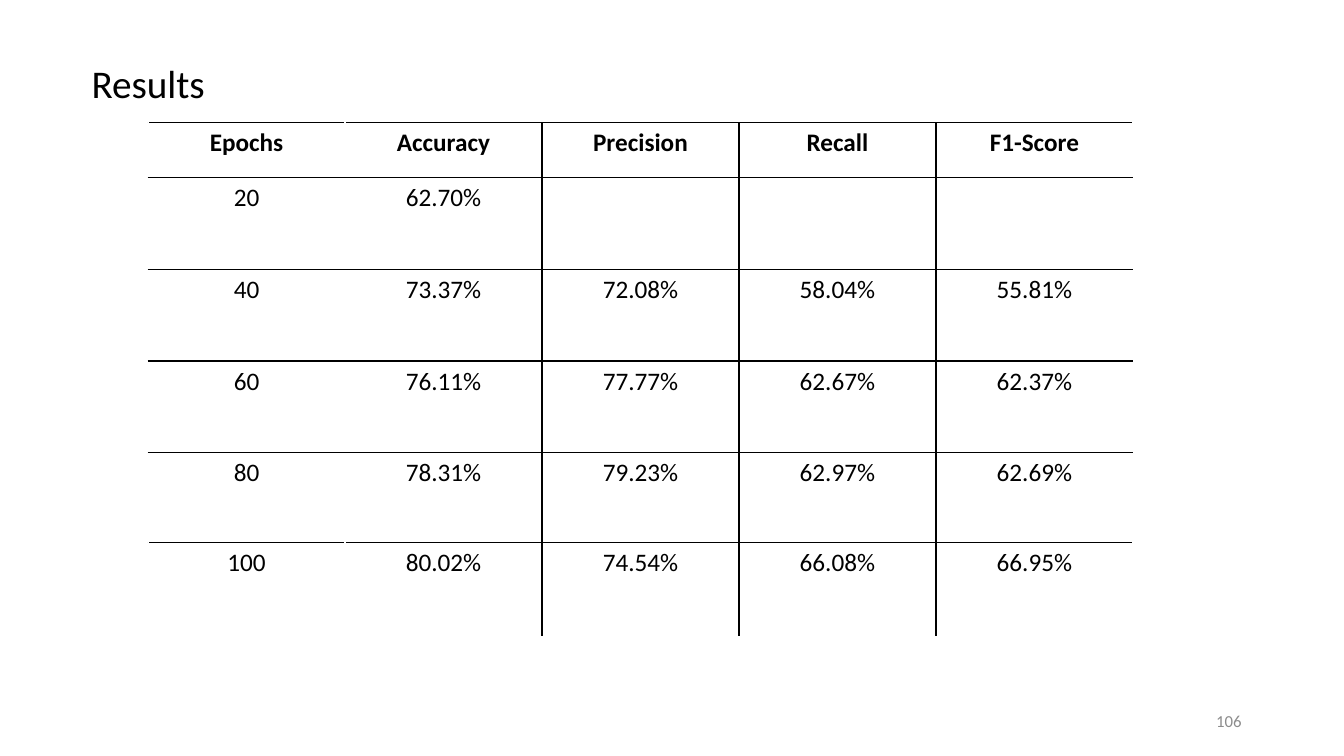
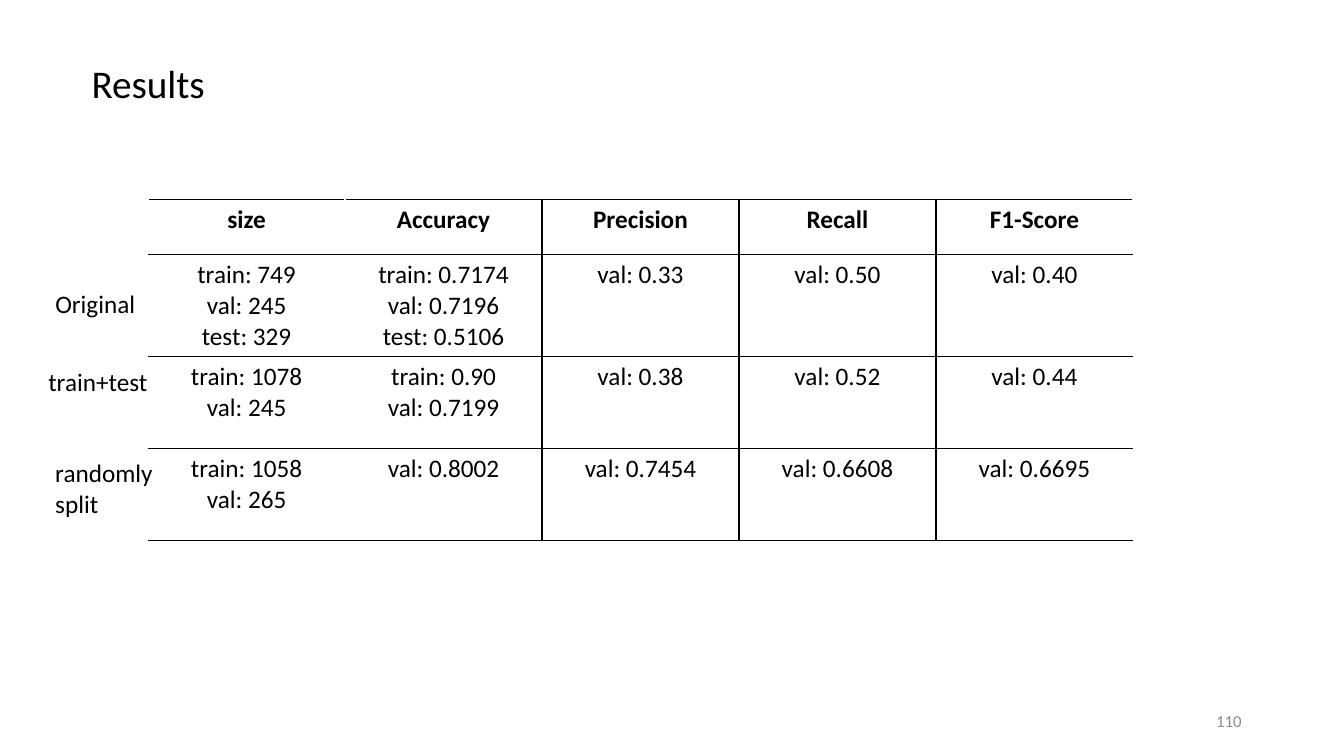
from lxml.etree import SubElement
from pptx import Presentation
from pptx.dml.color import RGBColor
from pptx.enum.text import MSO_ANCHOR, MSO_AUTO_SIZE, PP_ALIGN
from pptx.oxml.ns import qn
from pptx.util import Pt

COLORS = {"text": "000000", "rule": "000000", "blank": "FFFFFF", "footer": "8C8C8C"}
METRICS = ["Accuracy", "Precision", "Recall", "F1-Score"]
TABLE_LEFT = 105.8
COL_WIDTH = 140.7
HEAD_HEIGHT = 39.2
ROW_HEIGHT = 65.5


class Deck:
    """Holds the shared style and the current slide."""

    font = "Calibri"

    def __init__(self):
        self.prs = Presentation()
        self.prs.slide_width = Pt(960)
        self.prs.slide_height = Pt(540)
        self.slide = None

    def style(self, p, size=18, color="text", align=PP_ALIGN.LEFT, bold=False):
        p.alignment = align
        p.font.name = self.font
        p.font.size = Pt(size)
        p.font.bold = bold
        p.font.color.rgb = RGBColor.from_string(COLORS[color])

    def fill_text(self, tf, text, **style):
        for i, line in enumerate(text.split("\n")):
            p = tf.add_paragraph() if i else tf.paragraphs[0]
            p.text = line
            self.style(p, **style)

    def text(self, left, top, width, height, text, anchor=MSO_ANCHOR.TOP, **style):
        tf = self.slide.shapes.add_textbox(
            Pt(left), Pt(top), Pt(width), Pt(height)).text_frame
        tf.word_wrap = True
        tf.auto_size = MSO_AUTO_SIZE.NONE
        tf.vertical_anchor = anchor
        self.fill_text(tf, text, **style)

    def results_slide(self, number):
        self.slide = self.prs.slides.add_slide(self.prs.slide_layouts[6])
        self.text(678, 500.5, 216, 28.8, number, MSO_ANCHOR.MIDDLE,
                  size=12, color="footer", align=PP_ALIGN.RIGHT)
        self.text(58.3, 38.9, 429, 41, "Results", size=28)

    def border(self, cell, side, color, width):
        ln = SubElement(cell._tc.get_or_add_tcPr(), qn(f"a:ln{side}"), w=str(Pt(width)))
        fill = SubElement(ln, qn("a:solidFill"))
        SubElement(fill, qn("a:srgbClr"), val=COLORS[color])

    def table(self, top, rows, header=True, bottom=("rule", 1)):
        n_rows, n_cols = len(rows), len(rows[0])
        heights = [HEAD_HEIGHT if header and i == 0 else ROW_HEIGHT for i in range(n_rows)]
        table = self.slide.shapes.add_table(
            n_rows, n_cols, Pt(TABLE_LEFT), Pt(top),
            Pt(COL_WIDTH * n_cols), Pt(sum(heights))).table
        table.first_row = table.horz_banding = False
        for col in table.columns:
            col.width = Pt(COL_WIDTH)
        # Vertical rules only stand between the metric columns
        edges = ["rule" if 1 < i < n_cols else "blank" for i in range(n_cols + 1)]
        for r, values in enumerate(rows):
            table.rows[r].height = Pt(heights[r])
            for c, value in enumerate(values):
                cell = table.cell(r, c)
                self.fill_text(cell.text_frame, value, align=PP_ALIGN.CENTER,
                               bold=header and r == 0)
                self.border(cell, "L", edges[c], 1)
                self.border(cell, "R", edges[c + 1], 1)
                self.border(cell, "T", "rule", 1)
                self.border(cell, "B", *(bottom if r == n_rows - 1 else ("rule", 1)))
                cell.fill.background()


def main():
    deck = Deck()

    # Scores by number of epochs
    deck.results_slide("106")
    deck.table(87.8, [
        ["Epochs", *METRICS],
        ["20", "62.70%", "", "", ""],
        ["40", "73.37%", "72.08%", "58.04%", "55.81%"],
        ["60", "76.11%", "77.77%", "62.67%", "62.37%"],
        ["80", "78.31%", "79.23%", "62.97%", "62.69%"],
    ], bottom=("blank", 1))
    deck.table(387.6, [["100", "80.02%", "74.54%", "66.08%", "66.95%"]],
               header=False, bottom=("blank", 3))

    # Scores by data split
    deck.results_slide("110")
    deck.table(142.6, [
        ["size", *METRICS],
        ["train: 749\nval: 245\ntest: 329", "train: 0.7174\nval: 0.7196\ntest: 0.5106",
         "val: 0.33", "val: 0.50", "val: 0.40"],
        ["train: 1078\nval: 245", "train: 0.90\nval: 0.7199",
         "val: 0.38", "val: 0.52", "val: 0.44"],
        ["train: 1058\nval: 265", "val: 0.8002",
         "val: 0.7454", "val: 0.6608", "val: 0.6695"],
    ])

    # Row labels
    deck.text(32.4, 202.3, 78.5, 29, "Original")
    deck.text(27.4, 257.8, 87.8, 29, "train+test")
    deck.text(32.4, 323.3, 93.6, 51, "randomly\nsplit")

    deck.prs.save("out.pptx")


if __name__ == "__main__":
    main()
